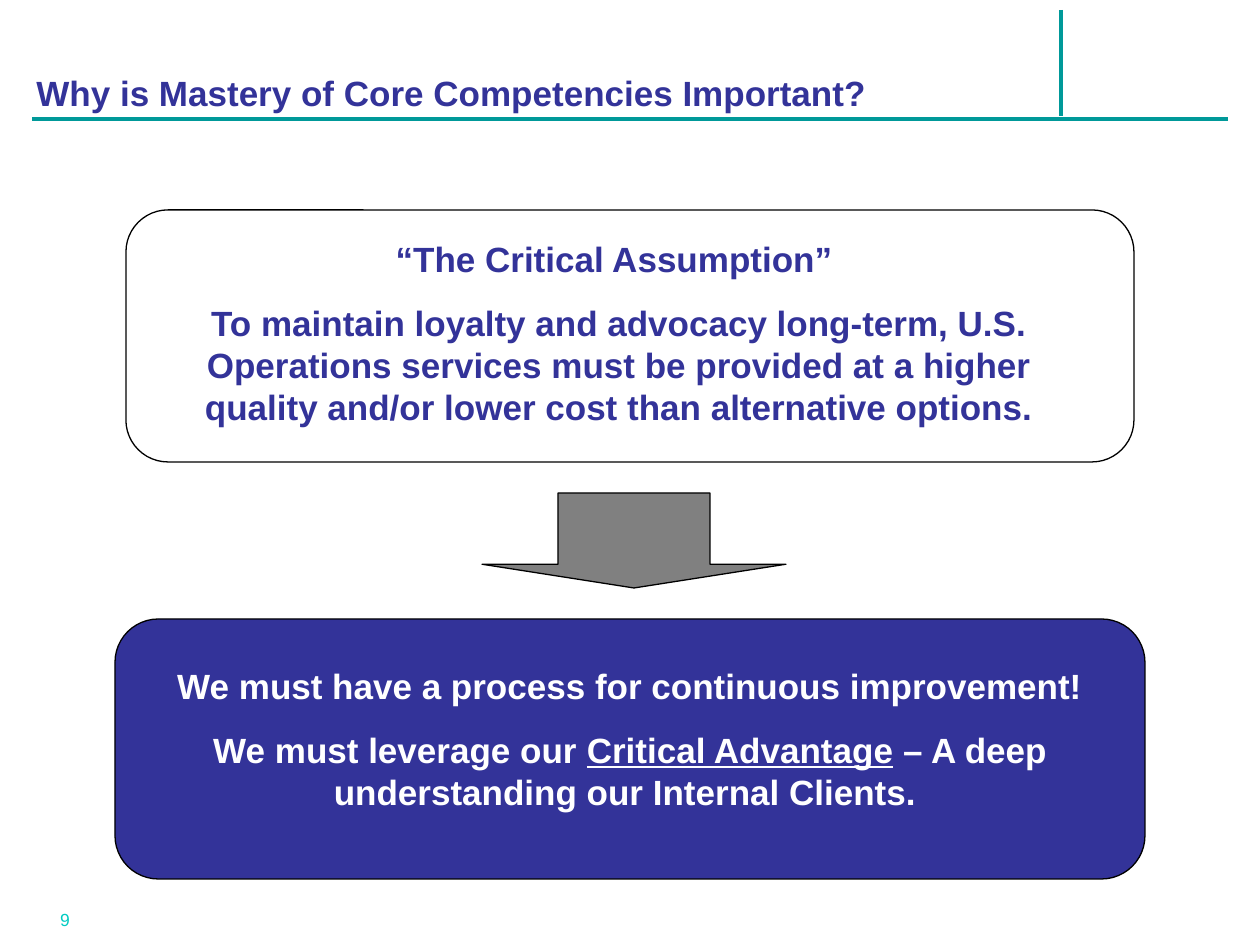
from lxml import etree
from pptx import Presentation
from pptx import util as u
from pptx.dml.color import RGBColor
from pptx.enum import shapes, text
from pptx.oxml.ns import qn

PX_PER_INCH = 126
COLORS = {
    "teal": "009999",
    "aqua": "00CCC2",
    "navy": "333399",
    "gray": "808080",
    "white": "FFFFFF",
    "black": "000000",
}
HEADING = {"name": "Arial", "size": u.Pt(20), "bold": True}
PAGE_NUMBER = {"name": "Arial", "size": u.Pt(10), "bold": False}


def px(length):
    return u.Inches(length / PX_PER_INCH)


def rgb(name):
    return RGBColor.from_string(COLORS[name])


def add_rule(page, *ends):
    rule = page.shapes.add_connector(
        shapes.MSO_CONNECTOR.STRAIGHT, *map(px, ends))
    rule.line.color.rgb = rgb("teal")
    rule.line.width = u.Pt(2.25)
    etree.SubElement(rule._element.spPr, qn("a:effectLst"))


def add_outlined(page, kind, place, fill=None):
    shape = page.shapes.add_shape(kind, *map(px, place))
    shape.shadow.inherit = False
    if fill:
        shape.fill.solid()
        shape.fill.fore_color.rgb = rgb(fill)
    else:
        shape.fill.background()
    shape.line.color.rgb = rgb("black")
    shape.line.width = u.Pt(0.75)
    return shape


def add_text(page, place, paragraphs, style, color,
             align=text.PP_ALIGN.CENTER, anchor=text.MSO_ANCHOR.TOP):
    """Each paragraph is a list of (wording, underlined) spans."""
    box = page.shapes.add_textbox(*map(px, place))
    frame = box.text_frame
    frame.word_wrap = True
    frame.vertical_anchor = anchor
    for index, spans in enumerate(paragraphs):
        para = frame.add_paragraph() if index else frame.paragraphs[0]
        para.alignment = align
        if index:
            para.space_before = u.Pt(12.5)
        for wording, underlined in spans:
            span = para.add_run()
            span.text = wording
            for name, value in style.items():
                setattr(span.font, name, value)
            span.font.color.rgb = rgb(color)
            if underlined:
                span.font.underline = True


def main():
    deck = Presentation()
    deck.slide_width, deck.slide_height = px(1260), px(945)
    page = deck.slides.add_slide(deck.slide_layouts[6])
    rounded = shapes.MSO_SHAPE.FLOWCHART_ALTERNATE_PROCESS
    middle = text.MSO_ANCHOR.MIDDLE

    # Header rules, page number and title
    add_rule(page, 1228, 119, 32, 119)
    add_rule(page, 1061, 10, 1061, 116)
    add_text(page, (0, 895, 130, 50), [[("9", False)]],
             PAGE_NUMBER, "aqua", anchor=middle)
    add_text(page, (24, 32, 976, 120),
             [[("Why is Mastery of Core Competencies Important?", False)]],
             HEADING, "navy", align=text.PP_ALIGN.LEFT, anchor=middle)

    # Assumption
    add_outlined(page, rounded, (126, 210, 1008, 252))
    add_text(page, (136, 231, 966, 158), [
        [("“The Critical Assumption” ", False)],
        [("To maintain loyalty and advocacy long-term, U.S. Operations "
          "services must be provided at a higher quality and/or lower cost "
          "than alternative options.", False)],
    ], HEADING, "navy")

    # Arrow to the conclusion
    arrow = add_outlined(page, shapes.MSO_SHAPE.DOWN_ARROW,
                         (482, 493, 304, 95), "gray")
    arrow.adjustments[0], arrow.adjustments[1] = 0.5, 0.25

    # Conclusion
    add_outlined(page, rounded, (115, 619, 1030, 260), "navy")
    add_text(page, (126, 658, 1008, 161), [
        [("We must have a process for continuous improvement!", False)],
        [("We must leverage our ", False),
         ("Critical Advantage", True),
         (" – A deep understanding our Internal Clients. ", False)],
    ], HEADING, "white")

    deck.save("out.pptx")


if __name__ == "__main__":
    main()
